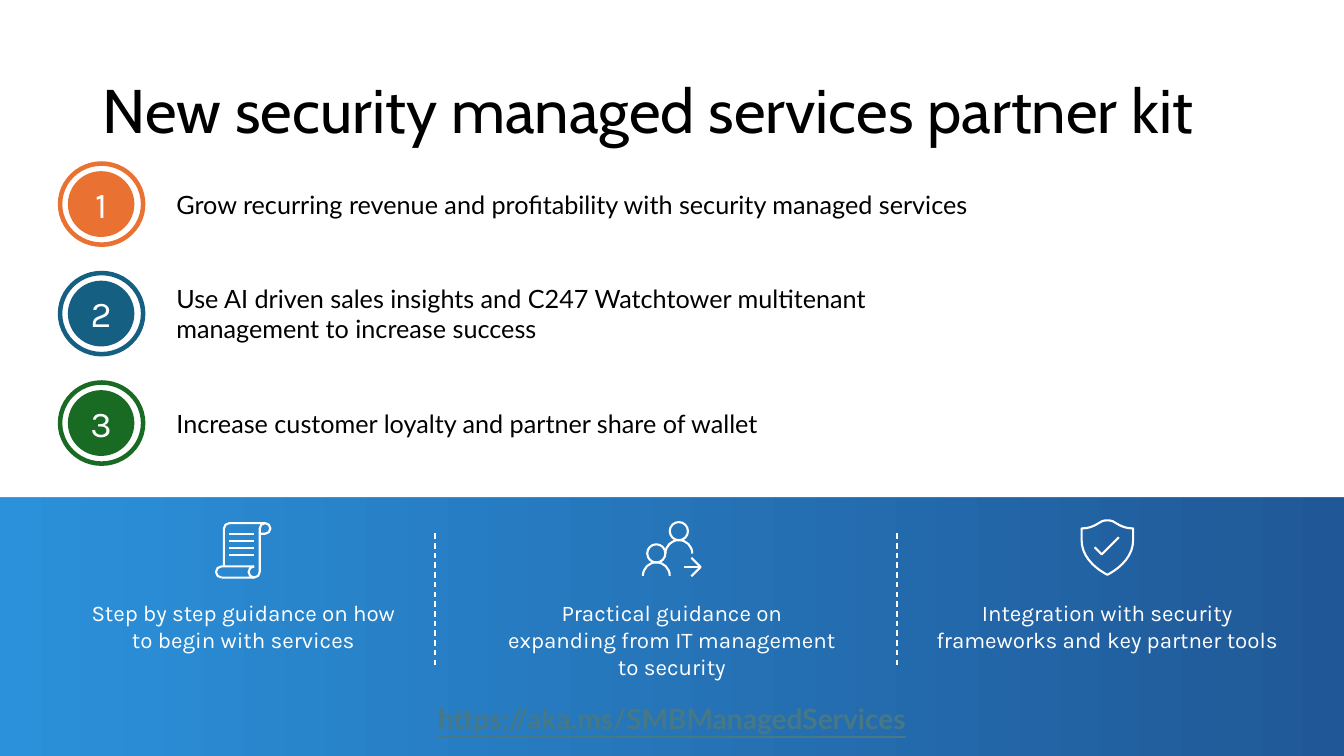
from math import cos, radians, sin, tan

from lxml import etree
from pptx import Presentation
from pptx.dml.color import RGBColor
from pptx.enum.dml import MSO_LINE
from pptx.enum.shapes import MSO_CONNECTOR, MSO_SHAPE
from pptx.enum.text import MSO_ANCHOR, PP_ALIGN
from pptx.oxml.ns import qn
from pptx.util import Pt

RECTANGLE, ELLIPSE, DONUT = MSO_SHAPE.RECTANGLE, MSO_SHAPE.OVAL, MSO_SHAPE.DONUT
STRAIGHT, DASH = MSO_CONNECTOR.STRAIGHT, MSO_LINE.DASH
TOP, MIDDLE = MSO_ANCHOR.TOP, MSO_ANCHOR.MIDDLE
LEFT, CENTER = PP_ALIGN.LEFT, PP_ALIGN.CENTER

WHITE = RGBColor(0xFF, 0xFF, 0xFF)
BLACK = RGBColor(0x00, 0x00, 0x00)
ORANGE = RGBColor(0xE9, 0x71, 0x32)
TEAL = RGBColor(0x15, 0x60, 0x82)
GREEN = RGBColor(0x19, 0x6B, 0x24)
BAND_START = RGBColor(0x2B, 0x91, 0xDA)
BAND_END = RGBColor(0x20, 0x58, 0x97)
LINK = RGBColor(0x46, 0x78, 0x86)

WIDTH, HEIGHT, BAND_TOP = 960, 540, 355.1


def line(*points):
    """Straight segments, one point each."""
    return [[point] for point in points]


def arc(x, y, radius, start, end):
    """Start point and quarter-turn curves on a circle; 0 is right, 90 is down."""
    count = max(1, round(abs(end - start) / 90))
    step = radians(end - start) / count
    handle = 4 / 3 * tan(step / 4)

    def place(angle, reach):
        return (x + radius * (cos(angle) - reach * sin(angle)),
                y + radius * (sin(angle) + reach * cos(angle)))

    angles = [radians(start) + step * i for i in range(count + 1)]
    curves = [[place(a, handle), place(b, -handle), place(b, 0)]
              for a, b in zip(angles, angles[1:])]
    return [[place(angles[0], 0)]] + curves


class SlideBuilder:
    formats = {
        "title": {"name": "Cabin", "size": Pt(44)},
        "number": {"name": "Karla", "size": Pt(26)},
        "item": {"name": "Lato", "size": Pt(18)},
        "caption": {"name": "Karla", "size": Pt(16)},
        "address": {"name": "Lato", "size": Pt(20), "bold": True, "underline": True},
    }

    def __init__(self, slide):
        self.slide = slide

    def shape(self, kind, box, color):
        shape = self.slide.shapes.add_shape(kind, *map(Pt, box))
        shape.shadow.inherit = False
        shape.line.fill.background()
        shape.fill.solid()
        shape.fill.fore_color.rgb = color
        return shape

    def gradient(self, box, colors):
        shape = self.shape(RECTANGLE, box, colors[0])
        shape.fill.gradient()
        shape.fill.gradient_angle = 0
        for stop, color in zip(shape.fill.gradient_stops, colors):
            stop.color.rgb = color

    def text(self, text, box, style, color, align=LEFT, anchor=TOP, spacing=None):
        frame = self.slide.shapes.add_textbox(*map(Pt, box)).text_frame
        layout = {"word_wrap": True, "vertical_anchor": anchor, "margin_left": 0,
                  "margin_top": 0, "margin_right": 0, "margin_bottom": 0}
        for name, value in layout.items():
            setattr(frame, name, value)
        paragraph = frame.paragraphs[0]
        paragraph.alignment = align
        paragraph.line_spacing = spacing
        run = paragraph.add_run()
        run.text = text
        for name, value in self.formats[style].items():
            setattr(run.font, name, value)
        run.font.color.rgb = color

    def icon(self, strokes, close=False):
        """Draw white strokes; segments of three points become curves."""
        builder = None
        for stroke in strokes:
            start, *rest = [(Pt(x), Pt(y)) for segment in stroke for x, y in segment]
            if builder is None:
                builder = self.slide.shapes.build_freeform(*start)
            else:
                builder.move_to(*start)
            builder.add_line_segments(rest, close=close)
        shape = builder.convert_to_shape()
        steps = shape._element.spPr.iter(qn("a:lnTo"))
        steps = iter(list(steps))
        for segment in (segment for stroke in strokes for segment in stroke[1:]):
            first, *others = [next(steps) for _ in segment]
            if others:
                first.tag = qn("a:cubicBezTo")
            for other in others:
                first.append(other[0])
                other.getparent().remove(other)
        shape.shadow.inherit = False
        shape.fill.background()
        shape.line.color.rgb = WHITE
        shape.line.width = Pt(1.5)

    def divider(self, x, top, bottom):
        connector = self.slide.shapes.add_connector(
            STRAIGHT, Pt(x), Pt(top), Pt(x), Pt(bottom))
        connector.line.color.rgb = WHITE
        connector.line.width = Pt(1)
        connector.line.dash_style = DASH
        etree.SubElement(connector._element.spPr, qn("a:effectLst"))


def draw_scroll(builder):
    builder.icon([
        arc(181.6, 408.6, 4, 270, 90),
        arc(158.3, 408.6, 4, 90, 270) + line((181.6, 404.6)),
        line((189.4, 373.7)) + arc(163.8, 377.5, 3.8, 270, 180) + line((160, 404.6)),
        line((185.6, 381.3)) + arc(189.4, 377.5, 3.8, 90, -180)
        + arc(181.6, 408.6, 4, 0, 90) + line((158.3, 412.6)),
        *[line((163.8, 381.6 + 5 * i), (181.6, 381.6 + 5 * i)) for i in range(4)],
    ])


def draw_people(builder):
    strokes = []
    for x, head_y in ((468.8, 395.3), (484.9, 379.4)):
        strokes += [arc(x, head_y, 6.5, 0, 360), arc(x, head_y + 16, 9.6, 180, 360)]
    strokes += [line((493.9, 411.6), (500.4, 405), (493.9, 398.4)),
                line((500.4, 405), (488.9, 405))]
    builder.icon(strokes)


def draw_shield(builder):
    center = 791
    half = [(0, 371.7), (2.7, 371.7), (4.9, 372.4), (6.5, 373.9),
            (10, 376.1), (13.7, 377.5), (18.4, 377.5),
            (18.4, 380.3), (18.4, 383.1), (18.4, 385.9),
            (18.4, 396), (11.2, 404.6), (0, 410.6)]
    points = [(center + x, y) for x, y in half]
    points += [(center - x, y) for x, y in half[-2::-1]]
    curves = [points[i:i + 3] for i in range(1, len(points), 3)]
    builder.icon([line(points[0]) + curves], close=True)
    builder.icon([line((799.2, 383.8), (787, 396), (781.9, 391))])


def main():
    presentation = Presentation()
    presentation.slide_width, presentation.slide_height = Pt(WIDTH), Pt(HEIGHT)
    builder = SlideBuilder(presentation.slides.add_slide(presentation.slide_layouts[6]))

    # Background and title
    builder.gradient((0, BAND_TOP, WIDTH, HEIGHT - BAND_TOP), (BAND_START, BAND_END))
    builder.shape(RECTANGLE, (0, 0, WIDTH, BAND_TOP), WHITE)
    builder.text("New security managed services partner kit", (73.3, 28.8, 814, 104.4),
                 "title", BLACK, anchor=MIDDLE, spacing=0.9)

    # Numbered benefits
    benefits = [
        (ORANGE, 587, "Grow recurring revenue and profitability with security managed services"),
        (TEAL, 551, "Use AI driven sales insights and C247 Watchtower multitenant "
                    "management to increase success"),
        (GREEN, 553, "Increase customer loyalty and partner share of wallet"),
    ]
    for row, (color, width, benefit) in enumerate(benefits):
        top = 115.2 + 78.2 * row
        builder.shape(ELLIPSE, (48.5, top + 7.1, 47.5, 47), color)
        ring = builder.shape(DONUT, (41.3, top, 62.6, 61.2), color)
        ring.adjustments[0] = 0.053
        builder.text(str(row + 1), (61.5, top + 14.8, 21.6, 31.7), "number", WHITE, CENTER)
        builder.text(benefit, (126, top + 8.6, width, 44), "item", BLACK, anchor=MIDDLE)

    # Kit contents
    contents = [
        (173.8, 218, draw_scroll, "Step by step guidance on how to begin with services"),
        (479.9, 235.5, draw_people,
         "Practical guidance on expanding from IT management to security"),
        (790.8, 255.6, draw_shield,
         "Integration with security frameworks and key partner tools"),
    ]
    for center, width, draw_icon, caption in contents:
        draw_icon(builder)
        builder.text(caption, (center - width / 2, 428.1, width, 38.9),
                     "caption", WHITE, CENTER)
    for x in (310.8, 640.8):
        builder.divider(x, 380.9, 477.4)

    # Web address
    builder.text("https://aka.ms/SMBManagedServices", (280, 501.2, 400, 24),
                 "address", LINK, CENTER)
    presentation.save("out.pptx")


if __name__ == "__main__":
    main()
